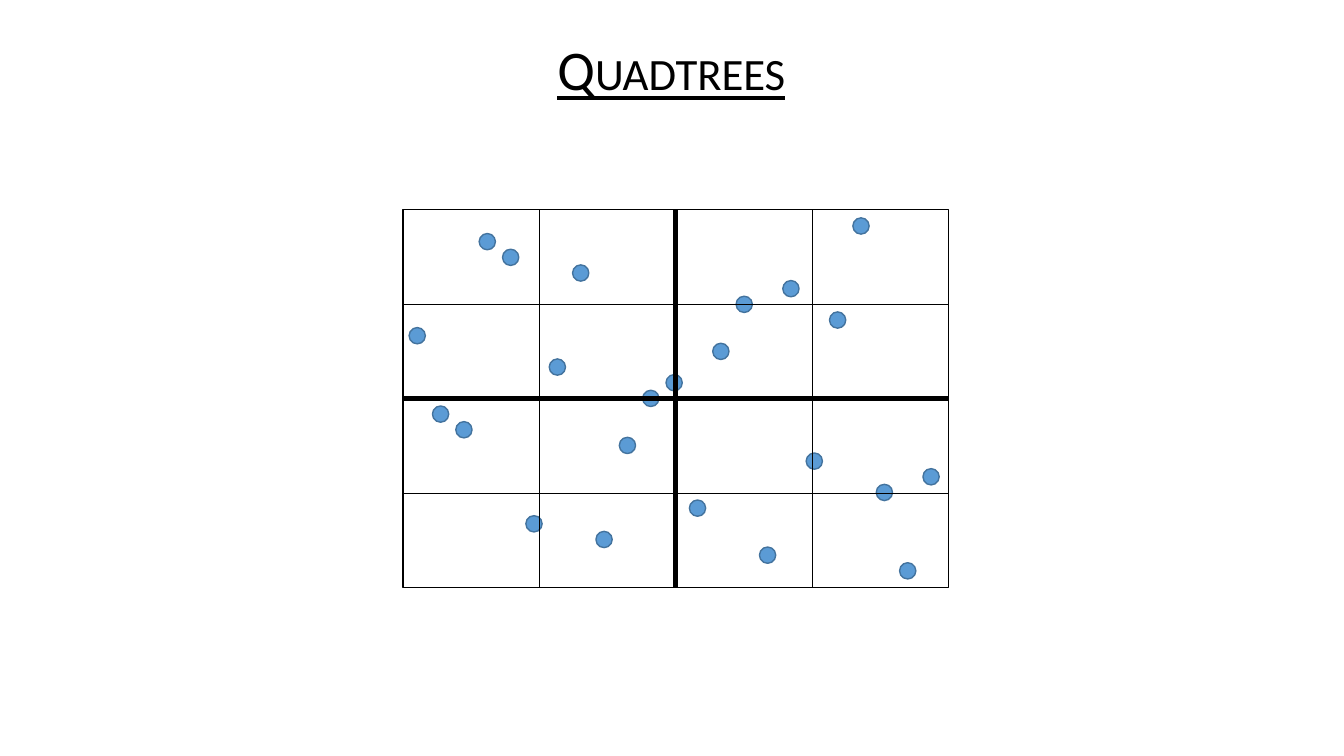
import pptx
import pptx.dml.color
import pptx.enum.shapes
import pptx.enum.text
import pptx.oxml.ns
import pptx.util
from lxml import etree

Cm = pptx.util.Cm
Pt = pptx.util.Pt

DOT_RANKS = [7, 12, 13, 1, 2, 19, 9, 3, 20, 14, 11, 10,
             18, 8, 5, 21, 4, 15, 6, 0, 17, 22, 16]


def rgb(hex_string):
    return pptx.dml.color.RGBColor.from_string(hex_string)


def write(tf, text, font="Calibri", size=40, color="000000", underline=False, small_caps=False):
    p = tf.paragraphs[0]
    p.alignment = pptx.enum.text.PP_ALIGN.CENTER
    p.line_spacing = 0.9
    r = p.add_run()
    r.text = text
    r.font.name = font
    r.font.size = Pt(size)
    r.font.color.rgb = rgb(color)
    r.font.underline = underline
    if small_caps:
        r.font._element.set("cap", "small")


class QuadtreeSlide:
    """Hold the style and the current slide, and add its elements."""

    ink = "000000"
    dot_fill = "5B9BD5"
    dot_line = "43739E"

    def __init__(self, prs):
        self.s = prs.slides.add_slide(prs.slide_layouts[5])

    def title(self, text, x, y, w, h):
        sp = self.s.shapes.title
        sp.left, sp.top, sp.width, sp.height = Cm(x), Cm(y), Cm(w), Cm(h)
        tf = sp.text_frame
        tf.word_wrap = True
        tf.auto_size = pptx.enum.text.MSO_AUTO_SIZE.NONE
        tf.vertical_anchor = pptx.enum.text.MSO_ANCHOR.MIDDLE
        write(tf, text, color=self.ink, underline=True, small_caps=True)

    def shape(self, kind, x, y, w, h, line, fill=None):
        sp = self.s.shapes.add_shape(kind, Cm(x), Cm(y), Cm(w), Cm(h))
        sp.shadow.inherit = False
        if fill:
            sp.fill.solid()
            sp.fill.fore_color.rgb = rgb(fill)
        else:
            sp.fill.background()
        sp.line.color.rgb = rgb(line)
        sp.line.width = Pt(1)
        return sp

    def dot(self, x, y, size):
        oval = pptx.enum.shapes.MSO_SHAPE.OVAL
        return self.shape(oval, x, y, size, size, self.dot_line, self.dot_fill)

    def frame(self, x, y, w, h):
        return self.shape(pptx.enum.shapes.MSO_SHAPE.RECTANGLE, x, y, w, h, self.ink)

    def line(self, x1, y1, x2, y2, width):
        straight = pptx.enum.shapes.MSO_CONNECTOR.STRAIGHT
        cxn = self.s.shapes.add_connector(straight, Cm(x1), Cm(y1), Cm(x2), Cm(y2))
        cxn.line.color.rgb = rgb(self.ink)
        cxn.line.width = Pt(width)
        etree.SubElement(cxn._element.spPr, pptx.oxml.ns.qn("a:effectLst"))
        return cxn


def main():
    prs = pptx.Presentation()
    prs.slide_width, prs.slide_height = Cm(33.87), Cm(19.05)
    slide = QuadtreeSlide(prs)
    slide.title("Quadtrees", 4.42, 0.74, 25, 2.16)

    steps = len(DOT_RANKS) - 1
    for column, rank in enumerate(DOT_RANKS):
        slide.dot(10.31 + column * 12.95 / steps, 5.49 + rank * 8.69 / steps, 0.41)

    x, y, w, h = 10.16, 5.28, 13.74, 9.53
    frame = slide.frame(x, y, w, h)
    for quarter in (1, 2, 3):
        middle = quarter == 2
        width = 3.5 if middle else 0.5
        cut_x, cut_y = x + w * quarter / 4, y + h * quarter / 4
        vertical = slide.line(cut_x, y, cut_x, y + h, width)
        horizontal = slide.line(x + w, cut_y, x, cut_y, width)
        if middle:
            vertical.begin_connect(frame, 0)
            vertical.end_connect(frame, 2)
            horizontal.begin_connect(frame, 3)
            horizontal.end_connect(frame, 1)

    prs.save("out.pptx")


if __name__ == "__main__":
    main()
